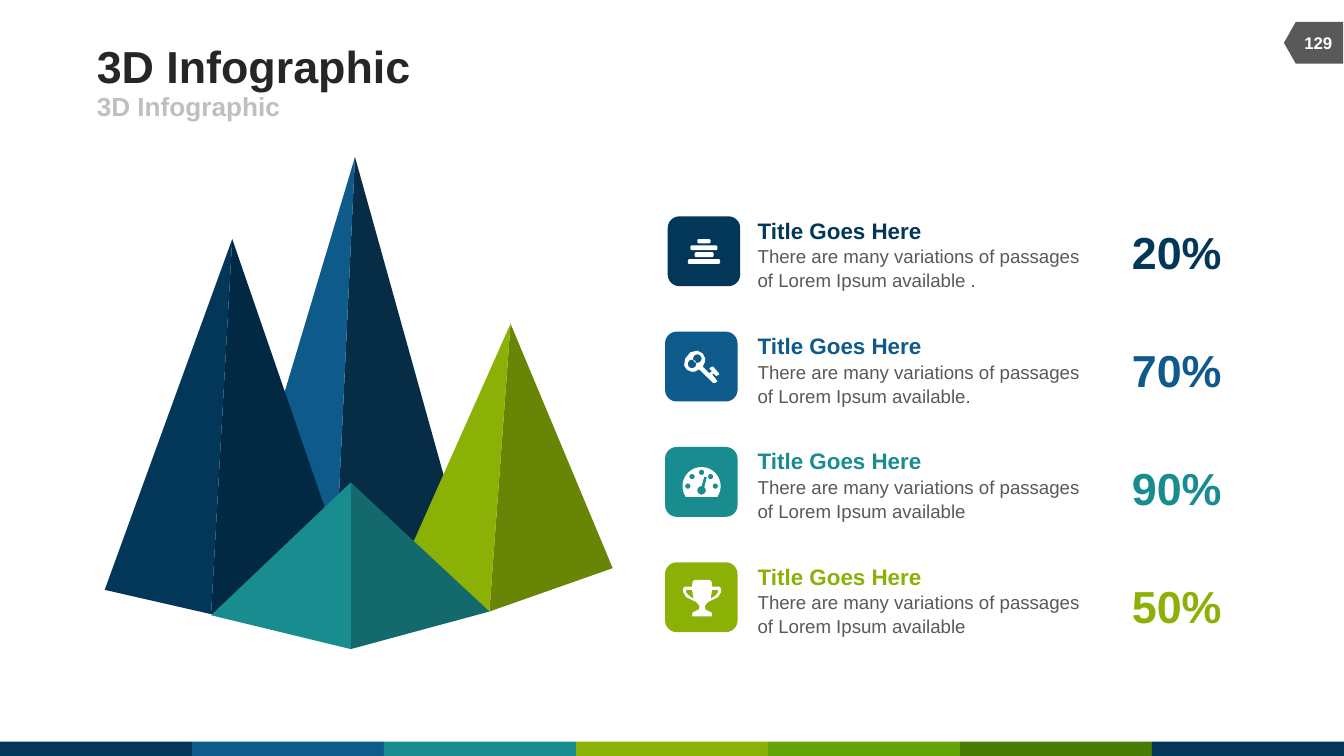
from dataclasses import dataclass
from math import cos, radians, sin

from pptx import Presentation
from pptx.dml.color import RGBColor
from pptx.enum.shapes import MSO_SHAPE
from pptx.enum.text import MSO_ANCHOR, PP_ALIGN
from pptx.util import Cm, Pt

RECT = MSO_SHAPE.RECTANGLE
ROUNDED = MSO_SHAPE.ROUNDED_RECTANGLE
TAG = MSO_SHAPE.FLOWCHART_OFFPAGE_CONNECTOR
MIDDLE, BOTTOM, TOP = MSO_ANCHOR.MIDDLE, MSO_ANCHOR.BOTTOM, MSO_ANCHOR.TOP
LEFT, CENTER = PP_ALIGN.LEFT, PP_ALIGN.CENTER

Point = tuple[float, float]
Contour = list[Point]


@dataclass(frozen=True)
class Theme:
    font: str = "Arial"
    navy: str = "023759"
    navy_dark: str = "012943"
    blue: str = "0E5A8B"
    blue_dark: str = "072D46"
    teal: str = "198C8F"
    teal_dark: str = "13696B"
    lime: str = "8BB106"
    lime_dark: str = "688505"
    green: str = "63A406"
    green_dark: str = "4A7B04"
    heading: str = "262626"
    muted: str = "BFBFBF"
    grey: str = "595959"
    white: str = "FFFFFF"
    large: float = 24
    subtitle: float = 14
    item_title: float = 12
    body: float = 10
    page: float = 9


@dataclass(frozen=True)
class Style:
    size: float
    color: str
    bold: bool = True


@dataclass(frozen=True)
class Pyramid:
    apex: Point
    base: Point
    left: Point
    right: Point
    light: str
    dark: str


@dataclass(frozen=True)
class Item:
    description: str
    percent: str
    color: str
    icon: list[Contour]
    tile_left: float = 12.57


THEME = Theme()
WIDTH, HEIGHT = 25.4, 14.29


# Icon outlines, in cm from the top left of their tile
def arc(cx: float, cy: float, r: float, start: int = 0, end: int = 360) -> Contour:
    return [(cx + r * cos(radians(a)), cy + r * sin(radians(a)))
            for a in range(start, end + 1, 8)]


def bar(x: float, y: float, w: float, h: float, cut: float = 0.02) -> Contour:
    r, b = x + w, y + h
    return [(x + cut, y), (r - cut, y), (r, y + cut), (r, b - cut),
            (r - cut, b), (x + cut, b), (x, b - cut), (x, y + cut)]


def mirrored(half: Contour, axis: float, sign: int) -> Contour:
    return [(axis + sign * dx, y) for dx, y in half]


def trophy() -> list[Contour]:
    axis = 0.7
    half = [(0.13, 0.33), (0.18, 0.36), (0.19, 0.46), (0.33, 0.46), (0.36, 0.5),
            (0.36, 0.56), (0.3, 0.66), (0.13, 0.74), (0.09, 0.77), (0.05, 0.83),
            (0.06, 0.89), (0.12, 0.92), (0.18, 0.95), (0.19, 1.02)]
    handle = [(0.19, 0.52), (0.3, 0.52), (0.3, 0.57), (0.26, 0.62), (0.16, 0.69)]
    body = mirrored(half, axis, 1) + mirrored(half, axis, -1)[::-1]
    return [body, mirrored(handle, axis, 1), mirrored(handle, axis, -1)]


BARS = [bar(0.38, 0.81, 0.61, 0.09), bar(0.43, 0.55, 0.51, 0.09),
        bar(0.51, 0.68, 0.36, 0.09), bar(0.56, 0.43, 0.25, 0.08)]
KEY = [[(0.64, 0.71), (0.58, 0.75), (0.51, 0.76), (0.41, 0.72), (0.36, 0.64),
        (0.38, 0.51), (0.48, 0.39), (0.61, 0.36), (0.71, 0.41), (0.76, 0.51),
        (0.75, 0.58), (0.71, 0.66), (0.84, 0.79), (0.89, 0.74), (0.84, 0.71),
        (0.84, 0.69), (0.89, 0.66), (0.91, 0.66), (1.02, 0.79), (1.02, 0.81),
        (0.97, 0.84), (0.91, 0.79), (0.89, 0.81), (0.97, 0.91), (0.99, 0.94),
        (0.94, 0.97), (0.91, 0.97)],
       arc(0.61, 0.51, 0.08), arc(0.51, 0.61, 0.08)]
GAUGE = [arc(0.69, 0.74, 0.36, 146, 394),
         arc(0.69, 0.82, 0.08, -50, 270) + [(0.74, 0.56), (0.79, 0.57)],
         *[arc(x, y, 0.05) for x, y in
           [(0.43, 0.74), (0.51, 0.56), (0.69, 0.48), (0.86, 0.56), (0.95, 0.74)]]]

PYRAMIDS = [
    Pyramid((6.71, 2.97), (6.3, 11.61), (4.29, 11.05), (8.92, 10.9),
            THEME.blue, THEME.blue_dark),
    Pyramid((9.65, 6.12), (9.25, 11.56), (7.39, 11.2), (11.58, 10.74),
            THEME.lime, THEME.lime_dark),
    Pyramid((4.39, 4.52), (3.99, 11.61), (1.98, 11.15), (6.63, 11.02),
            THEME.navy, THEME.navy_dark),
    Pyramid((6.63, 9.12), (6.63, 12.27), (3.99, 11.63), (9.25, 11.56),
            THEME.teal, THEME.teal_dark),
]
PASSAGE = "There are many variations of passages of Lorem Ipsum available"
ITEMS = [
    Item(PASSAGE + " .", "20%", THEME.navy, BARS, 12.62),
    Item(PASSAGE + ".", "70%", THEME.blue, KEY),
    Item(PASSAGE, "90%", THEME.teal, GAUGE),
    Item(PASSAGE, "50%", THEME.lime, trophy()),
]
STRIP = [THEME.navy, THEME.blue, THEME.teal, THEME.lime,
         THEME.green, THEME.green_dark, THEME.navy]


def paint(shape, color: str) -> None:
    shape.shadow.inherit = False
    shape.fill.solid()
    shape.fill.fore_color.rgb = RGBColor.from_string(color)
    shape.line.fill.background()


def add_block(slide, kind, x: float, y: float, w: float, h: float, color: str):
    block = slide.shapes.add_shape(kind, Cm(x), Cm(y), Cm(w), Cm(h))
    paint(block, color)
    return block


def add_outline(slide, contours: list[Contour], color: str,
                dx: float = 0, dy: float = 0) -> None:
    placed = [[(Cm(x + dx), Cm(y + dy)) for x, y in c] for c in contours]
    builder = slide.shapes.build_freeform(*placed[0][0])
    builder.add_line_segments(placed[0][1:], close=True)
    for contour in placed[1:]:
        builder.move_to(*contour[0])
        builder.add_line_segments(contour[1:], close=True)
    paint(builder.convert_to_shape(), color)


def add_text(slide, x: float, y: float, w: float, h: float,
             lines: list[tuple[str, Style]], anchor=MIDDLE, align=LEFT,
             inset: bool = False, spacing: float = 1.0) -> None:
    frame = slide.shapes.add_textbox(Cm(x), Cm(y), Cm(w), Cm(h)).text_frame
    frame.word_wrap = inset
    frame.vertical_anchor = anchor
    if not inset:
        frame.margin_left = frame.margin_right = 0
        frame.margin_top = frame.margin_bottom = 0
    frame.text = "\n".join(text for text, _ in lines)
    for paragraph, (_, style) in zip(frame.paragraphs, lines):
        paragraph.alignment = align
        paragraph.line_spacing = spacing
        font = paragraph.runs[0].font
        font.name, font.size, font.bold = THEME.font, Pt(style.size), style.bold
        font.color.rgb = RGBColor.from_string(style.color)


def add_pyramid(slide, p: Pyramid) -> None:
    add_outline(slide, [[p.base, p.apex, p.right]], p.dark)
    add_outline(slide, [[p.apex, p.base, p.left]], p.light)


def add_item(slide, item: Item, row: int) -> None:
    offset = row * 2.18
    tile_top = 4.09 + offset
    add_text(slide, 14.07, 3.94 + offset, 6.88, 1.63,
             [("Title Goes Here", Style(THEME.item_title, item.color)),
              (item.description, Style(THEME.body, THEME.grey, False))],
             TOP, inset=True, spacing=1.07)
    add_text(slide, 21.39, 4.24 + row * 2.23, 1.7, 1.02,
             [(item.percent, Style(THEME.large, item.color))], BOTTOM, CENTER)
    add_block(slide, ROUNDED, item.tile_left, tile_top, 1.37, 1.32, item.color)
    add_outline(slide, item.icon, THEME.white, item.tile_left, tile_top)


def main() -> None:
    deck = Presentation()
    deck.slide_width, deck.slide_height = Cm(WIDTH), Cm(HEIGHT)
    slide = deck.slides.add_slide(deck.slide_layouts[6])

    # Footer strip and page tag
    band = WIDTH / len(STRIP)
    for i, color in enumerate(STRIP):
        add_block(slide, RECT, i * band, 14.02, band, HEIGHT - 14.02, color)
    add_block(slide, TAG, 24.43, 0.25, 0.79, 1.12, THEME.grey).rotation = 90
    add_text(slide, 24.38, 0.43, 1.07, 0.76,
             [("129", Style(THEME.page, THEME.white))], align=CENTER, inset=True)

    # Headings
    add_text(slide, 1.83, 0.74, 15.67, 0.99,
             [("3D Infographic", Style(THEME.large, THEME.heading))])
    add_text(slide, 1.83, 1.73, 11.43, 0.56,
             [("3D Infographic", Style(THEME.subtitle, THEME.muted))])

    # Pyramids, back to front, then the list
    for pyramid in PYRAMIDS:
        add_pyramid(slide, pyramid)
    for row, item in enumerate(ITEMS):
        add_item(slide, item, row)

    deck.save("out.pptx")


if __name__ == "__main__":
    main()
